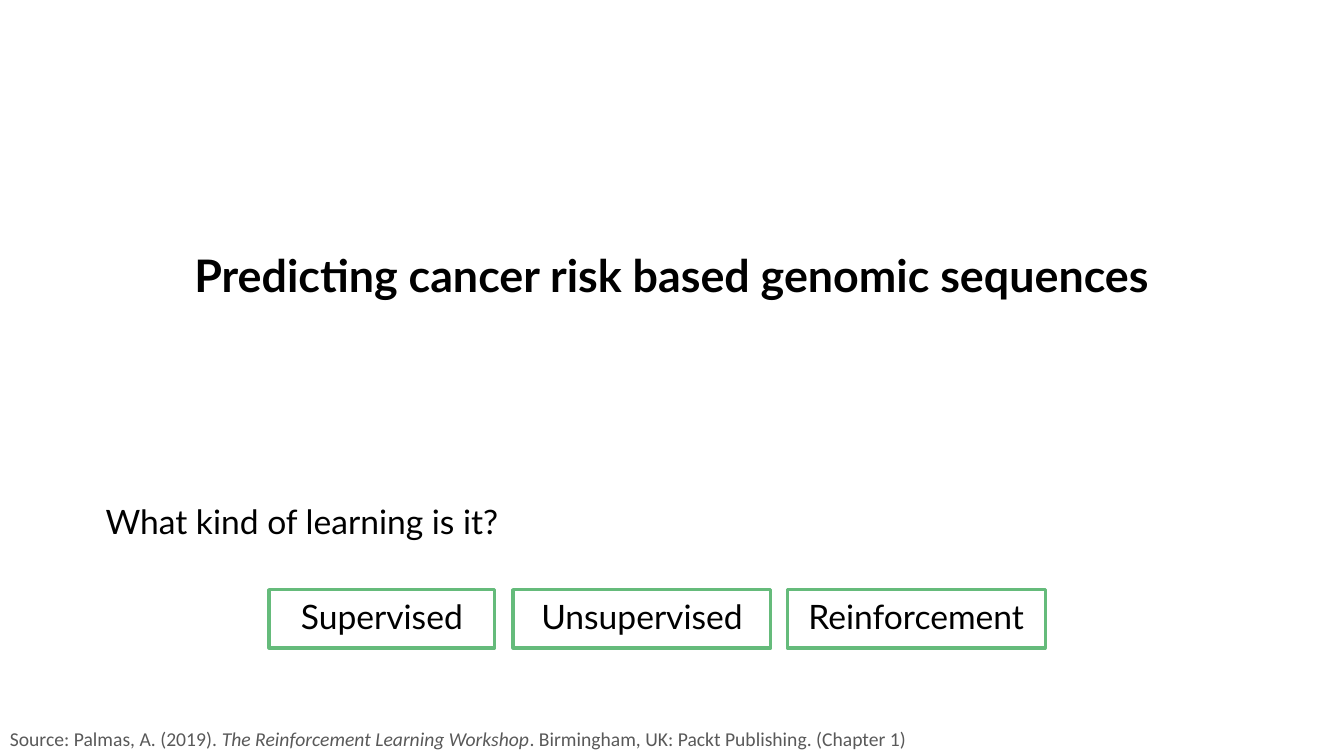
from pptx import Presentation
from pptx.dml.color import RGBColor
from pptx.enum.shapes import MSO_SHAPE as Shape
from pptx.enum.text import MSO_ANCHOR as Anchor, PP_ALIGN as Align
from pptx.util import Cm, Pt


def paint(font, name, size, color):
    font.name = name
    font.size = Pt(size)
    font.color.rgb = RGBColor.from_string(color)


def write(box, text, size, align):
    frame = box.text_frame
    frame.text = text
    frame.word_wrap = True
    frame.vertical_anchor = Anchor.MIDDLE
    para = frame.paragraphs[0]
    para.alignment = align
    para.line_spacing = 0.9
    run = para.runs[0]
    paint(run.font, "Lato", size, "000000")
    return run


deck = Presentation()
deck.slide_width, deck.slide_height = Cm(33.87), Cm(19.05)
slide = deck.slides.add_slide(deck.slide_layouts[5])
shapes = slide.shapes

# Title
title = shapes.title
title.left, title.top = Cm(0), Cm(5.87)
title.width, title.height = Cm(33.87), Cm(2.26)
write(title, "Predicting cancer risk based genomic sequences", 32, Align.CENTER).font.bold = True

# Source line
source = shapes.add_textbox(Cm(0), Cm(18.19), Cm(33.87), Cm(0.86))
source.text_frame.word_wrap = True
line = source.text_frame.paragraphs[0]
for text, slant in [
    ("Source: Palmas, A. (2019). ", False),
    ("The Reinforcement Learning Workshop", True),
    (". Birmingham, UK: Packt Publishing. (Chapter 1)", False),
]:
    run = line.add_run()
    run.text = text
    run.font.italic = slant
    paint(run.font, "Calibri", 14, "595959")

# Question
ask = shapes.add_textbox(Cm(2.41), Cm(12.07), Cm(11), Cm(2.26))
write(ask, "What kind of learning is it?", 24, Align.LEFT)

# Answer boxes
for text, left, width in [
    ("Supervised", 6.78, 5.69),
    ("Unsupervised", 12.93, 6.5),
    ("Reinforcement", 19.84, 6.5),
]:
    box = shapes.add_shape(Shape.RECTANGLE, Cm(left), Cm(14.86), Cm(width), Cm(1.47))
    box.shadow.inherit = False
    box.fill.background()
    box.line.color.rgb = RGBColor.from_string("65BB7B")
    box.line.width = Pt(2.25)
    write(box, text, 24, Align.CENTER)

deck.save("out.pptx")
